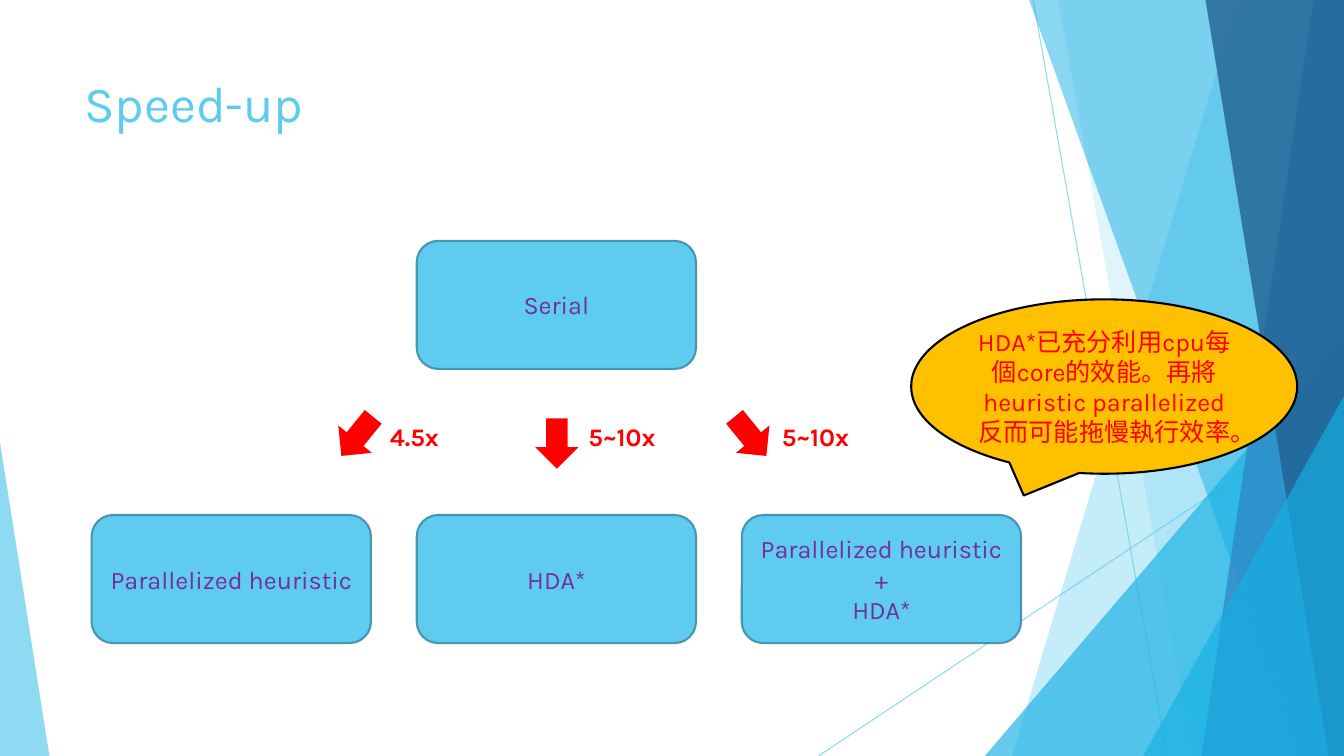
import pptx
import pptx.util
import pptx.dml.color
import pptx.enum.shapes
import pptx.enum.text
import pptx.oxml.ns
import lxml.etree
from dataclasses import dataclass

Pt = pptx.util.Pt
KIND = pptx.enum.shapes.MSO_SHAPE
ALIGN = pptx.enum.text.PP_ALIGN
ANCHOR = pptx.enum.text.MSO_ANCHOR


@dataclass(frozen=True)
class Theme:
    font: str = "Karla"
    head: int = 36
    body: int = 18
    sky: str = "5FCBEF"
    cyan: str = "17B0E4"
    blue: str = "2E83C3"
    navy: str = "226292"
    edge: str = "4696B1"
    plum: str = "7030A0"
    red: str = "FF0000"
    gold: str = "FFC000"
    black: str = "000000"


look = Theme()
WIDE, HIGH = 960, 540

TITLE = "Speed-up"
ROOT = "Serial"
LEAVES = [
    ["Parallelized heuristic"],
    ["HDA*"],
    ["Parallelized heuristic +", "HDA*"],
]
GAINS = [
    ("4.5x", 239.76, 293.76, 39.2, 271.44),
    ("5~10x", 382.32, 298.8, 0, 413.28),
    ("5~10x", 520.56, 293.76, 320.8, 551.52),
]
NOTE = "HDA*已充分利用cpu每個core的效能。再將heuristic parallelized反而可能拖慢執行效率。"

RAYS = [((738, 0), (833.76, HIGH)), ((WIDE, 290.16), (584.64, HIGH))]
BANDS = [
    ("band", 884.16, 722.88, look.sky, 36),
    ("band", 756, 851.76, look.sky, 20),
    ("peak", (703.44, 239.76, 256.56, 300.24), 1, look.cyan, 66),
    ("band", 735.12, 929.52, look.cyan, 50),
    ("band", 938.16, 858.24, look.blue, 70),
    ("band", 861.12, 948.96, look.navy, 80),
    ("peak", (816.48, 282.96, 143.52, 257.04), 1, look.cyan, 66),
    ("peak", (0, 316.08, 35.28, 223.92), 0, look.sky, 70),
]

BOX_W, BOX_H = 199.44, 91.44
LEFT, STEP = 65.52, 232.2
ROOT_Y, LEAF_Y = 172.08, 367.92

deck = pptx.Presentation()
deck.slide_width, deck.slide_height = Pt(WIDE), Pt(HIGH)
slide = deck.slides.add_slide(deck.slide_layouts[6])
shapes = slide.shapes


def tint(code):
    return pptx.dml.color.RGBColor.from_string(code)


def fade(part, level):
    for node in part.iter(pptx.oxml.ns.qn("a:srgbClr")):
        alpha = lxml.etree.SubElement(node, pptx.oxml.ns.qn("a:alpha"))
        alpha.set("val", str(level * 1000))


def paint(shape, fill, line=None):
    shape.shadow.inherit = False
    shape.fill.solid()
    shape.fill.fore_color.rgb = tint(fill)
    if line:
        shape.line.color.rgb = tint(line)
        shape.line.width = Pt(1.5)
    else:
        shape.line.fill.background()


def write(shape, lines, color, size=look.body, bold=False, align=ALIGN.LEFT,
          anchor=ANCHOR.TOP, wrap=True):
    frame = shape.text_frame
    frame.text = "\n".join(lines)
    frame.word_wrap = wrap
    frame.vertical_anchor = anchor
    for para in frame.paragraphs:
        para.alignment = align
        for run in para.runs:
            run.font.name = look.font
            run.font.size = Pt(size)
            run.font.bold = bold
            run.font.color.rgb = tint(color)


def add(kind, *place):
    return shapes.add_shape(kind, *map(Pt, place))


def label(place, text, **style):
    write(shapes.add_textbox(*map(Pt, place)), [text], **style)


def card(left, top, lines):
    box = add(KIND.ROUNDED_RECTANGLE, left, top, BOX_W, BOX_H)
    paint(box, look.sky, look.edge)
    write(box, lines, look.plum, align=ALIGN.CENTER, anchor=ANCHOR.MIDDLE)


def ray(start, end):
    line = shapes.add_connector(pptx.enum.shapes.MSO_CONNECTOR.STRAIGHT,
                                *map(Pt, start + end))
    line.line.color.rgb = tint(look.sky)
    line.line.width = Pt(0.75)
    props = line._element.spPr
    fade(props, 70)
    lxml.etree.SubElement(props, pptx.oxml.ns.qn("a:effectLst"))


def band(top, foot):
    pen = shapes.build_freeform(Pt(top), 0)
    pen.add_line_segments(
        [(Pt(x), Pt(y)) for x, y in [(WIDE, 0), (WIDE, HIGH), (foot, HIGH)]])
    return pen.convert_to_shape()


def peak(place, tip):
    shape = add(KIND.ISOSCELES_TRIANGLE, *place)
    shape.adjustments[0] = tip
    return shape


for start, end in RAYS:
    ray(start, end)
for kind, first, second, color, level in BANDS:
    shape = band(first, second) if kind == "band" else peak(first, second)
    paint(shape, color)
    fade(shape._element.spPr, level)

label((53.28, 48.24, 676.8, 103.68), TITLE, color=look.sky, size=look.head)

card(LEFT + STEP, ROOT_Y, [ROOT])
for col, lines in enumerate(LEAVES):
    card(LEFT + col * STEP, LEAF_Y, lines)

for gain, left, top, turn, text_x in GAINS:
    arrow = add(KIND.DOWN_ARROW, left, top, 30.96, 36)
    arrow.rotation = turn
    paint(arrow, look.red)
    label((text_x, 297.36, 66.96, 28.8), gain, color=look.red, bold=True,
          wrap=False)

cloud = add(KIND.OVAL_CALLOUT, 650.88, 213.84, 275.76, 124.56)
paint(cloud, look.gold, look.black)
write(cloud, [NOTE], look.red, align=ALIGN.CENTER, anchor=ANCHOR.MIDDLE)

deck.save("out.pptx")
